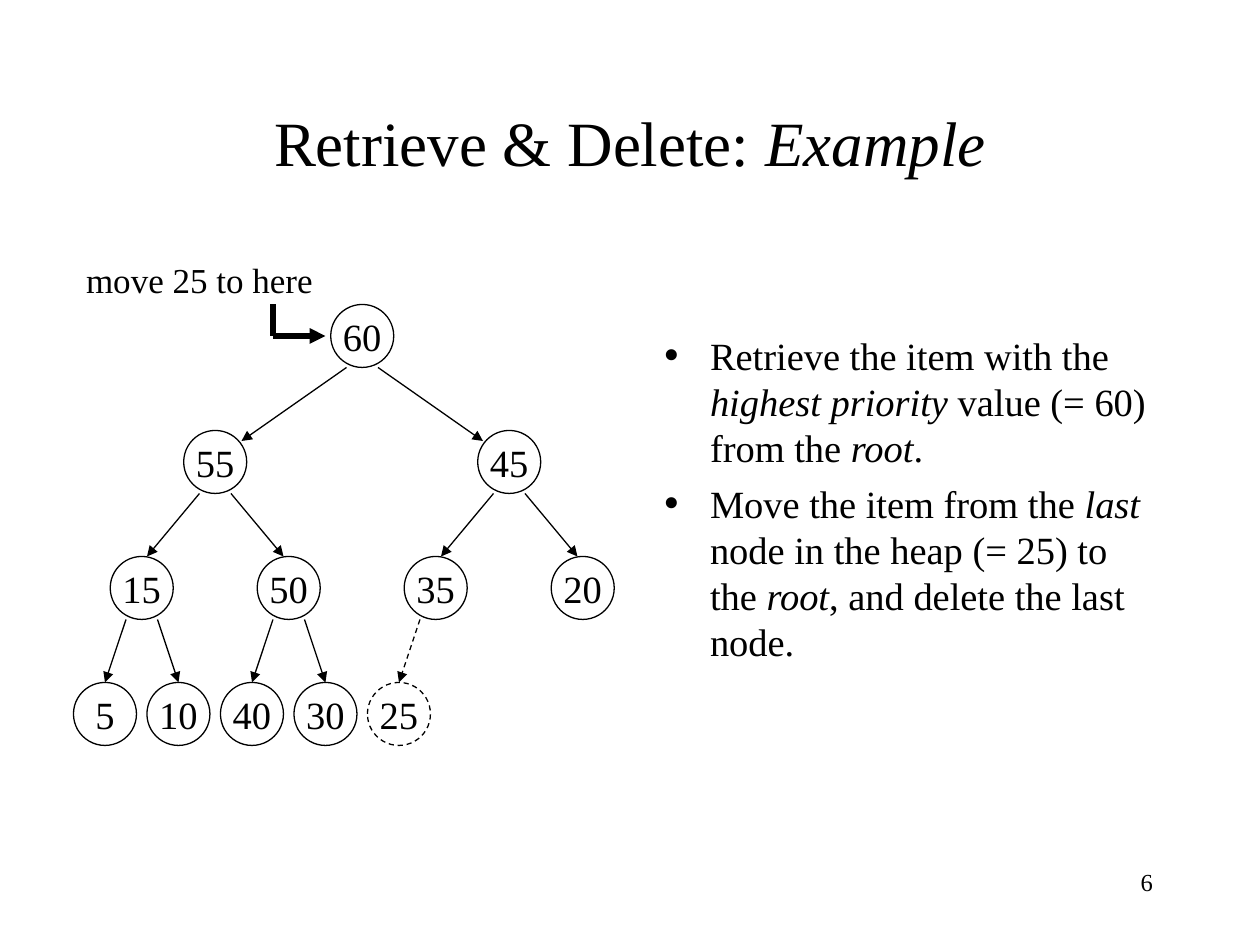
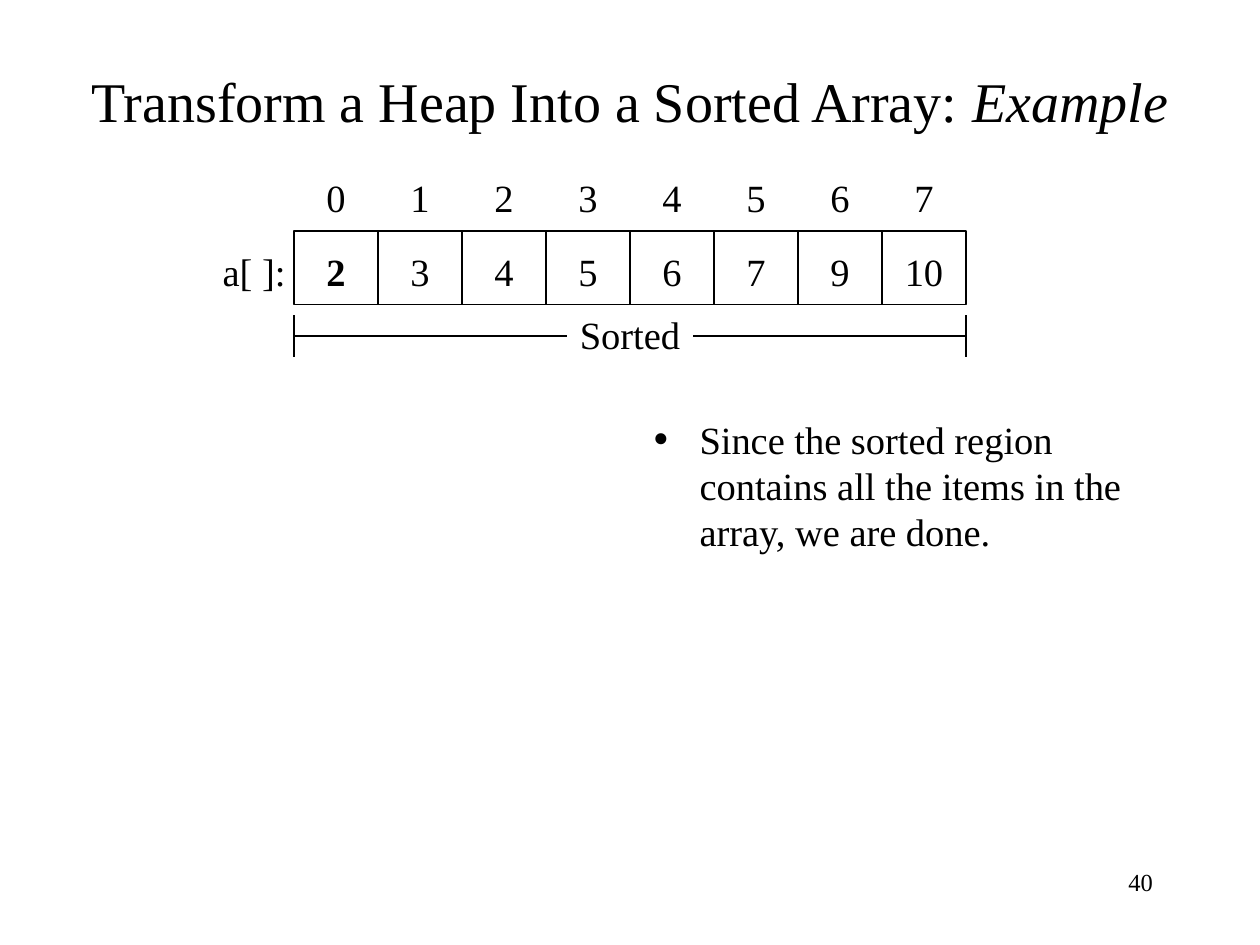
from dataclasses import dataclass

from lxml.etree import SubElement
from pptx import Presentation
from pptx.dml.color import RGBColor
from pptx.enum.dml import MSO_LINE
from pptx.enum.shapes import MSO_CONNECTOR, MSO_SHAPE
from pptx.enum.text import MSO_ANCHOR, MSO_AUTO_SIZE, PP_ALIGN
from pptx.oxml.ns import qn
from pptx.util import Inches, Pt


@dataclass(frozen=True)
class Theme:
    ink: RGBColor = RGBColor(0, 0, 0)
    font: str = "Times New Roman"
    body: int = 22
    note: int = 20
    page: int = 14
    thin: float = 0.75
    thick: float = 3


THEME = Theme()
COLS, ROWS = 120, 90  # grid of the slide, twelve steps to the inch


def grid(*steps):
    return [Inches(step / 12) for step in steps]


def write(para, text, size, align=PP_ALIGN.CENTER, bold=False):
    """Fill a paragraph; parts between asterisks become italic."""
    for i, part in enumerate(text.split("*")):
        if part:
            run = para.add_run()
            run.text = part
            if i % 2:
                run.font.italic = True
    para.alignment = align
    font = para.font
    font.name, font.size, font.bold = THEME.font, Pt(size), bold
    font.color.rgb = THEME.ink


def add_label(slide, text, box, size=THEME.body, align=PP_ALIGN.CENTER,
              anchor=MSO_ANCHOR.MIDDLE):
    frame = slide.shapes.add_textbox(*grid(*box)).text_frame
    frame.vertical_anchor = anchor
    write(frame.paragraphs[0], text, size, align)


def add_cell(slide, kind, text, box, dash=False, bold=False, drop=0):
    """Draw an outlined shape holding a value, moved down by drop steps."""
    cell = slide.shapes.add_shape(kind, *grid(*box))
    cell.shadow.inherit = False
    cell.fill.background()
    ink_line(cell.line, THEME.thin, dash)
    frame = cell.text_frame
    frame.margin_left = frame.margin_right = frame.margin_bottom = 0
    frame.margin_top = grid(drop)[0]
    frame.word_wrap = False
    frame.vertical_anchor = MSO_ANCHOR.MIDDLE
    write(frame.paragraphs[0], str(text), THEME.body, bold=bold)


def ink_line(line, width, dash=False):
    line.color.rgb = THEME.ink
    line.width = Pt(width)
    if dash:
        line.dash_style = MSO_LINE.DASH


def add_line(slide, start, end, width=THEME.thin, dash=False, arrow=False):
    link = slide.shapes.add_connector(MSO_CONNECTOR.STRAIGHT, *grid(*start, *end))
    ink_line(link.line, width, dash)
    props = link._element.spPr
    if arrow:
        SubElement(props.find(qn("a:ln")), qn("a:tailEnd"), type="triangle")
    SubElement(props, qn("a:effectLst"))


def add_points(slide, points, box):
    frame = slide.shapes.add_textbox(*grid(*box)).text_frame
    frame.word_wrap = True
    for i, text in enumerate(points):
        para = frame.add_paragraph() if i else frame.paragraphs[0]
        props = para._p.get_or_add_pPr()
        hang = Inches(0.37)
        props.set("marL", str(hang))
        props.set("indent", str(-hang))
        SubElement(props, qn("a:buSzPct"), val="120000")
        SubElement(props, qn("a:buFont"), typeface=THEME.font)
        SubElement(props, qn("a:buChar"), char="•")
        if i:
            para.space_before = Pt(5.5)
        write(para, text, THEME.body, PP_ALIGN.LEFT)


def add_page(deck, title, size, box, number):
    """Add a slide with its title and page number."""
    slide = deck.slides.add_slide(deck.slide_layouts[5])
    head = slide.shapes.title
    head.left, head.top, head.width, head.height = grid(*box)
    frame = head.text_frame
    frame.auto_size = MSO_AUTO_SIZE.NONE
    frame.vertical_anchor = MSO_ANCHOR.MIDDLE
    write(frame.paragraphs[0], title, size)
    add_label(slide, str(number), (86, 82, 25, 6), THEME.page,
              PP_ALIGN.RIGHT, MSO_ANCHOR.TOP)
    return slide


def add_heap(slide, levels, last):
    """Draw a binary heap; the last node is dashed."""
    side, gap, left, top, rise = 6, 7, 10, 29, 12
    # How far an arrow tip moves in and down to meet the circle, per level
    tips = [(2.5, 1), (0.5, 0), (0, 0)]

    def place(depth, i):
        step = gap * 2 ** (len(levels) - 1 - depth)
        return left + (step - gap) / 2 + step * i, top + rise * depth

    for depth, row in enumerate(levels):
        for i, value in enumerate(row):
            x, y = place(depth, i)
            dash = value == last
            add_cell(slide, MSO_SHAPE.OVAL, value,
                     (x - side / 2, y, side, side), dash)
            if depth:
                up_x, up_y = place(depth - 1, i // 2)
                way = 1 if i % 2 else -1
                inset, drop = tips[depth - 1]
                add_line(slide, (up_x + way * side / 4, up_y + side),
                         (x - way * inset, y + drop), dash=dash, arrow=True)


def add_array(slide, name, values, left, top):
    wide, high = 8, 7
    for i, value in enumerate(values):
        x = left + wide * i
        add_label(slide, str(i), (x, top - 6, wide, 5.6), anchor=MSO_ANCHOR.TOP)
        add_cell(slide, MSO_SHAPE.RECTANGLE, value, (x, top, wide, high),
                 bold=i == 0, drop=0.7)
    add_label(slide, name, (left - 8, top + 1, 8.4, 5.6))


def add_span(slide, text, left, right, y, room):
    """Draw a bracket with a label in a gap at its middle."""
    mid = (left + right) / 2
    for end, way in ((left, -1), (right, 1)):
        add_line(slide, (end, y - 2), (end, y + 2))
        add_line(slide, (end, y), (mid + way * room / 2, y))
    add_label(slide, text, (mid - room / 2, y - 3, room, 5.6))


def show_delete(deck):
    slide = add_page(deck, "Retrieve & Delete:* Example*", 36, (9, 8, 102, 11), 6)
    add_points(slide, [
        "Retrieve the item with the *highest priority* value (= 60) from the *root*.",
        "Move the item from the *last* node in the heap (= 25) to the *root*, "
        "and delete the last node.",
    ], (62, 31, 50, 33))
    add_heap(slide, [[60], [55, 45], [15, 50, 35, 20], [5, 10, 40, 30, 25]], 25)
    add_label(slide, "move 25 to here", (7, 24, 24, 5.3), THEME.note)
    add_line(slide, (26, 29), (26, 32), THEME.thick)
    add_line(slide, (26, 32), (31, 32), THEME.thick, arrow=True)


def show_sorted(deck):
    slide = add_page(deck, "Transform a Heap Into a Sorted Array: *Example*", 32,
                     (7, 6, 106, 7), 40)
    add_points(slide, ["Since the sorted region contains all the items in the "
                       "array, we are done."], (61, 39, 51, 16))
    add_array(slide, "a[ ]:", [2, 3, 4, 5, 6, 7, 9, 10], 28, 22)
    add_span(slide, "Sorted", 28, 92, 32, 12)


def main():
    deck = Presentation()
    deck.slide_width, deck.slide_height = grid(COLS, ROWS)
    show_delete(deck)
    show_sorted(deck)
    deck.save("out.pptx")


if __name__ == "__main__":
    main()
